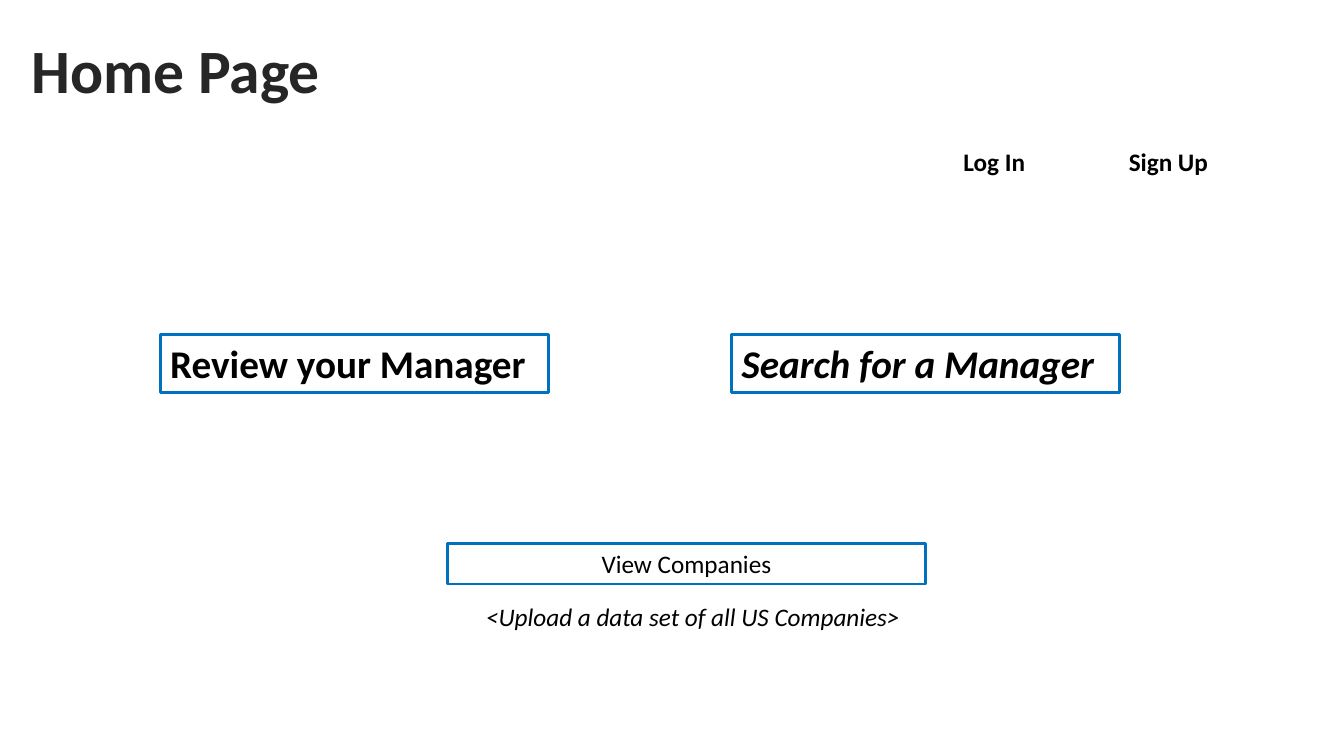
"""Build the Home Page wireframe slide."""
import pptx
import pptx.util
import pptx.dml.color
import pptx.enum.text

Pt = pptx.util.Pt
PP_ALIGN = pptx.enum.text.PP_ALIGN
ANCHOR = pptx.enum.text.MSO_ANCHOR
COLORS = {"title": "262626", "text": "000000", "border": "0070C0"}


def format_text(shape, text, size, color, bold, italic, alignment):
    """Set the text of a shape and format its only run."""
    shape.text_frame.word_wrap = True
    shape.text_frame.text = text
    paragraph = shape.text_frame.paragraphs[0]
    paragraph.alignment = alignment
    font = paragraph.runs[0].font
    font.name = "Calibri"
    font.size = Pt(size)
    font.bold = bold
    font.italic = italic
    font.color.rgb = pptx.dml.color.RGBColor.from_string(COLORS[color])


presentation = pptx.Presentation()
presentation.slide_width = Pt(960)
presentation.slide_height = Pt(540)
slide = presentation.slides.add_slide(presentation.slide_layouts[5])

title = slide.shapes.title
title.left, title.top, title.width, title.height = Pt(15.12), Pt(0), Pt(931.68), Pt(104.4)
format_text(title, "Home Page", 44, "title", True, False, PP_ALIGN.LEFT)
title.text_frame.vertical_anchor = ANCHOR.MIDDLE
title.text_frame.auto_size = pptx.enum.text.MSO_AUTO_SIZE.NONE
title.text_frame.paragraphs[0].line_spacing = 0.9

LEFT, CENTER = PP_ALIGN.LEFT, PP_ALIGN.CENTER
boxes = [
    ("Review your Manager", 114.48, 239.04, 277.2, 41.2, 28, True, False, LEFT, 2),
    ("Search for a Manager", 522.72, 239.04, 277.2, 41.2, 28, True, True, LEFT, 2),
    ("Log In", 681.12, 100.8, 113.04, 29.08, 18, True, False, LEFT, 0),
    ("Sign Up", 799.2, 100.8, 113.04, 29.08, 18, True, False, LEFT, 0),
    ("View Companies", 319.68, 388.08, 341.28, 29.08, 18, False, False, CENTER, 1.75),
    ("<Upload a data set of all US Companies>", 234, 426.24, 522, 29.08, 18, False, True, CENTER, 0),
]
for text, left, top, width, height, size, bold, italic, alignment, border in boxes:
    box = slide.shapes.add_textbox(Pt(left), Pt(top), Pt(width), Pt(height))
    format_text(box, text, size, "text", bold, italic, alignment)
    box.text_frame.auto_size = pptx.enum.text.MSO_AUTO_SIZE.SHAPE_TO_FIT_TEXT
    if border:
        box.line.width = Pt(border)
        box.line.color.rgb = pptx.dml.color.RGBColor.from_string(COLORS["border"])

presentation.save("out.pptx")
